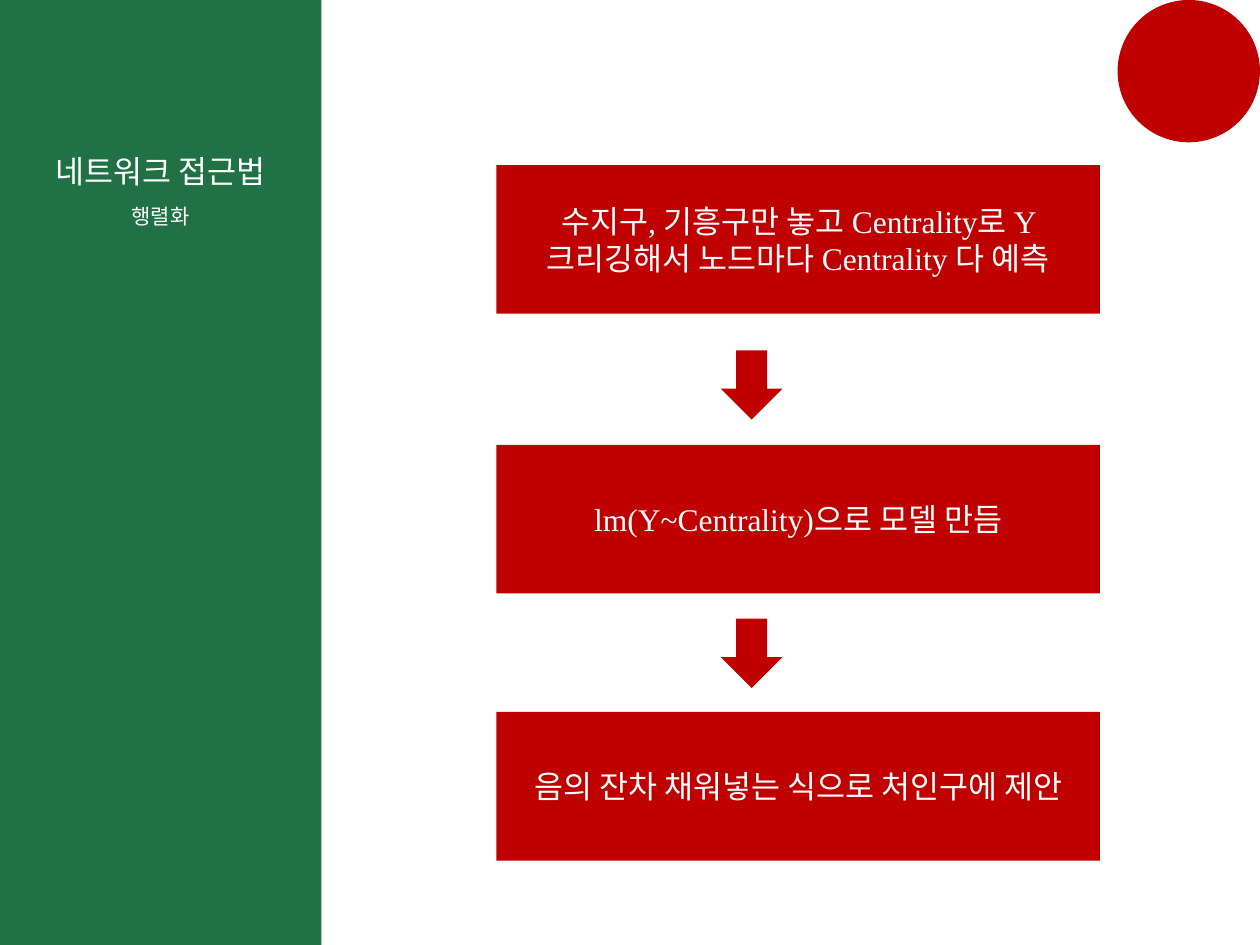
from dataclasses import dataclass

from pptx import Presentation
from pptx import util as u
from pptx.dml.color import RGBColor
from pptx.enum import shapes, text


@dataclass(frozen=True)
class Theme:
    green: RGBColor = RGBColor(0x20, 0x72, 0x45)
    red: RGBColor = RGBColor(0xC0, 0x00, 0x00)
    white: RGBColor = RGBColor(0xFF, 0xFF, 0xFF)
    font: str = "Times New Roman"
    body: int = 18
    small: int = 12


THEME = Theme()
SIDEBAR_WIDTH = 2.55
STEPS = [
    (1.31, "수지구, 기흥구만 놓고 Centrality로 Y 크리깅해서 노드마다 Centrality 다 예측"),
    (3.53, "lm(Y~Centrality)으로 모델 만듬"),
    (5.65, "음의 잔차 채워넣는 식으로 처인구에 제안"),
]
ARROW_TOPS = [2.78, 4.91]


def set_format(target, values):
    for name, value in values.items():
        setattr(target, name, value)


def write_text(shape, words, size, anchor):
    frame = shape.text_frame
    set_format(frame, {"word_wrap": True, "vertical_anchor": anchor})
    paragraph = frame.paragraphs[0]
    paragraph.alignment = text.PP_ALIGN.CENTER
    run = paragraph.add_run()
    run.text = words
    set_format(run.font, {"name": THEME.font, "size": u.Pt(size)})
    run.font.color.rgb = THEME.white


def add_block(slide, kind, box, color):
    shape = slide.shapes.add_shape(kind, *map(u.Inches, box))
    shape.shadow.inherit = False
    shape.fill.solid()
    shape.fill.fore_color.rgb = color
    shape.line.fill.background()
    return shape


def add_label(slide, box, words, size):
    shape = slide.shapes.add_textbox(*map(u.Inches, box))
    write_text(shape, words, size, text.MSO_ANCHOR.TOP)


def add_step(slide, top, words):
    box = (3.94, top, 4.79, 1.18)
    shape = add_block(slide, shapes.MSO_SHAPE.RECTANGLE, box, THEME.red)
    write_text(shape, words, THEME.body, text.MSO_ANCHOR.MIDDLE)


def main():
    presentation = Presentation()
    set_format(presentation, {"slide_width": u.Inches(10), "slide_height": u.Inches(7.5)})
    slide = presentation.slides.add_slide(presentation.slide_layouts[6])

    add_block(slide, shapes.MSO_SHAPE.RECTANGLE, (0, 0, SIDEBAR_WIDTH, 7.5), THEME.green)
    add_label(slide, (0, 1.16, SIDEBAR_WIDTH, 0.4), "네트워크 접근법", THEME.body)
    add_label(slide, (0, 1.57, SIDEBAR_WIDTH, 0.3), "행렬화", THEME.small)
    add_block(slide, shapes.MSO_SHAPE.OVAL, (8.87, 0, 1.13, 1.13), THEME.red)

    for top, words in STEPS:
        add_step(slide, top, words)
    for top in ARROW_TOPS:
        add_block(slide, shapes.MSO_SHAPE.DOWN_ARROW, (5.72, top, 0.49, 0.55), THEME.red)

    presentation.save("out.pptx")


if __name__ == "__main__":
    main()
